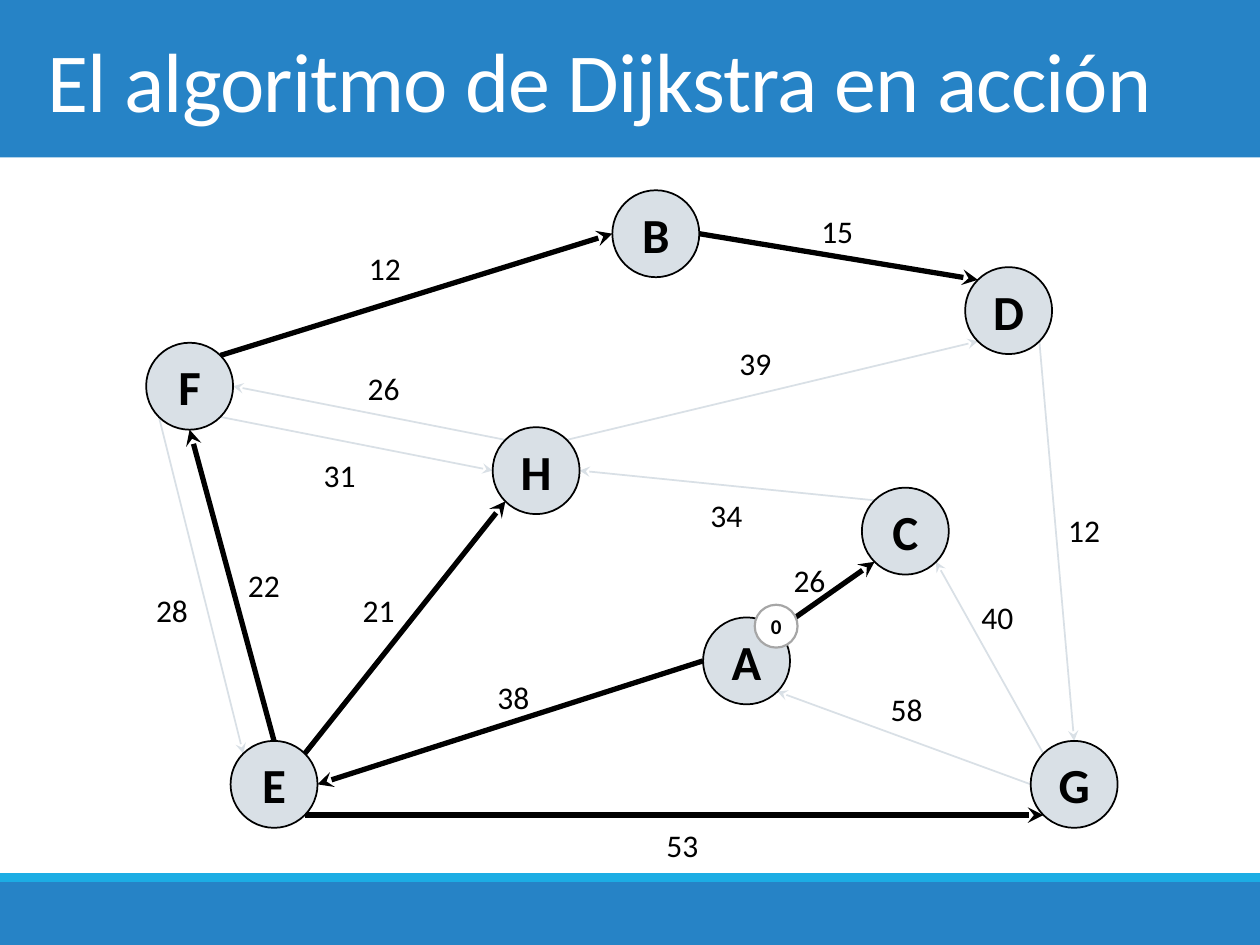
import math

import lxml.etree
import pptx
import pptx.dml.color
import pptx.enum.shapes
import pptx.enum.text
import pptx.oxml.ns
import pptx.util

COLUMNS, ROWS = 100, 75
NODE_SIZE = 6.9
BLUE, CYAN, PALE = "2683C6", "1CADE4", "D9E0E6"
BLACK, WHITE, GRAY = "000000", "FFFFFF", "A6A6A6"
COMPASS = ["e", "se", "s", "sw", "w", "nw", "n", "ne"]

NODES = {
    "A": (59.25, 52.45), "B": (52.05, 18.55), "C": (71.85, 42.15),
    "D": (80.05, 24.65), "E": (21.75, 62.25), "F": (15.05, 30.65),
    "G": (85.25, 62.25), "H": (42.55, 37.35),
}
EDGES = [
    ("F", "ne", "B", "w", 12, (28.3, 19.3), True),
    ("B", "e", "D", "nw", 15, (64.2, 16.3), True),
    ("H", "ne", "D", "sw", 39, (57.7, 26.8), False),
    ("D", "se", "G", "n", 12, (83.8, 40.1), False),
    ("E", "se", "G", "sw", 53, (51.9, 65.1), True),
    ("G", "nw", "C", "se", 40, (76.9, 47), False),
    ("G", "w", "A", "se", 58, (69.7, 54.3), False),
    ("A", "ne", "C", "sw", 26, (62, 44), True),
    ("A", "w", "E", "e", 38, (38.5, 53.3), True),
    ("C", "nw", "H", "e", 34, (55.4, 38.9), False),
    ("E", "ne", "H", "sw", 21, (27.8, 46.4), True),
    ("H", "nw", "F", "e", 26, (28.2, 28.8), False),
    ("F", "se", "H", "w", 31, (24.7, 35.7), False),
    ("E", "n", "F", "s", 22, (18.7, 44.4), True),
    ("F", "sw", "E", "nw", 28, (11.4, 46.4), False),
]


def color(value):
    return pptx.dml.color.RGBColor.from_string(value)


def site(node, direction):
    x, y = NODES[node]
    angle = COMPASS.index(direction) * math.pi / 4
    return x + NODE_SIZE / 2 * math.cos(angle), y + NODE_SIZE / 2 * math.sin(angle)


class Deck:
    font = "Calibri"

    def __init__(self):
        self.prs = pptx.Presentation()
        self.prs.slide_width = pptx.util.Inches(10)
        self.prs.slide_height = pptx.util.Inches(7.5)
        self.s = self.prs.slides.add_slide(self.prs.slide_layouts[5])

    def grid(self, x, y):
        return round(x * self.prs.slide_width / COLUMNS), round(y * self.prs.slide_height / ROWS)

    def box(self, x, y, w, h):
        return *self.grid(x, y), *self.grid(w, h)

    def set_text(self, sp, text, size, ink=BLACK, bold=False, align="LEFT"):
        tf = sp.text_frame
        tf.text = text
        p = tf.paragraphs[0]
        p.alignment = pptx.enum.text.PP_ALIGN[align]
        r = p.runs[0]
        r.font.name = self.font
        r.font.size = pptx.util.Pt(size)
        r.font.bold = bold
        r.font.color.rgb = color(ink)
        return r

    def shape(self, kind, place, fill, line=None, width=1):
        sp = self.s.shapes.add_shape(
            pptx.enum.shapes.MSO_SHAPE[kind], *self.box(*place))
        sp.shadow.inherit = False
        sp.fill.solid()
        sp.fill.fore_color.rgb = color(fill)
        if line:
            sp.line.color.rgb = color(line)
            sp.line.width = pptx.util.Pt(width)
        else:
            sp.line.fill.background()
        return sp

    def bar(self, y, h, fill):
        self.shape("RECTANGLE", (0, y, COLUMNS, h), fill)

    def title(self, text):
        sp = self.s.shapes.title
        self.s.shapes.element.append(sp.element)
        sp.left, sp.top, sp.width, sp.height = self.box(2.8, 0, 94.5, 12.5)
        sp.text_frame.vertical_anchor = pptx.enum.text.MSO_ANCHOR.MIDDLE
        r = self.set_text(sp, text, 48, WHITE)
        r._r.get_or_add_rPr().set("spc", "-50")

    def circle(self, center, size, text, points, fill, line, width):
        x, y = center
        sp = self.shape("OVAL", (x - size / 2, y - size / 2, size, size), fill, line, width)
        tf = sp.text_frame
        tf.margin_left = tf.margin_right = tf.margin_top = tf.margin_bottom = 0
        tf.word_wrap = False
        tf.vertical_anchor = pptx.enum.text.MSO_ANCHOR.MIDDLE
        self.set_text(sp, text, points, bold=True, align="CENTER")

    def arrow(self, start, end, ink, width):
        sp = self.s.shapes.add_connector(
            pptx.enum.shapes.MSO_CONNECTOR.STRAIGHT, *self.grid(*start), *self.grid(*end))
        sp.line.color.rgb = color(ink)
        sp.line.width = pptx.util.Pt(width)
        qn = pptx.oxml.ns.qn
        spPr = sp.element.spPr
        lxml.etree.SubElement(spPr.find(qn("a:ln")), qn("a:tailEnd"), type="stealth")
        lxml.etree.SubElement(spPr, qn("a:effectLst"))

    def label(self, x, y, text):
        sp = self.s.shapes.add_textbox(*self.box(x, y, 4.6, 4))
        sp.text_frame.word_wrap = False
        sp.text_frame.auto_size = pptx.enum.text.MSO_AUTO_SIZE.SHAPE_TO_FIT_TEXT
        self.set_text(sp, text, 18)


def main():
    deck = Deck()
    deck.bar(0, 12.5, BLUE)
    deck.bar(70, 5, BLUE)
    deck.bar(69.3, 0.7, CYAN)
    deck.title("El algoritmo de Dijkstra en acción")
    for source, leave, target, enter, cost, place, chosen in EDGES:
        ink, width = (BLACK, 3) if chosen else (PALE, 1)
        deck.arrow(site(source, leave), site(target, enter), ink, width)
    for name, center in NODES.items():
        deck.circle(center, NODE_SIZE, name, 28, PALE, BLACK, 1)
    for *_, cost, place, chosen in EDGES:
        deck.label(*place, str(cost))
    deck.circle((61.6, 49.7), 3.4, "0", 12, WHITE, GRAY, 1.25)
    deck.prs.save("out.pptx")


if __name__ == "__main__":
    main()
